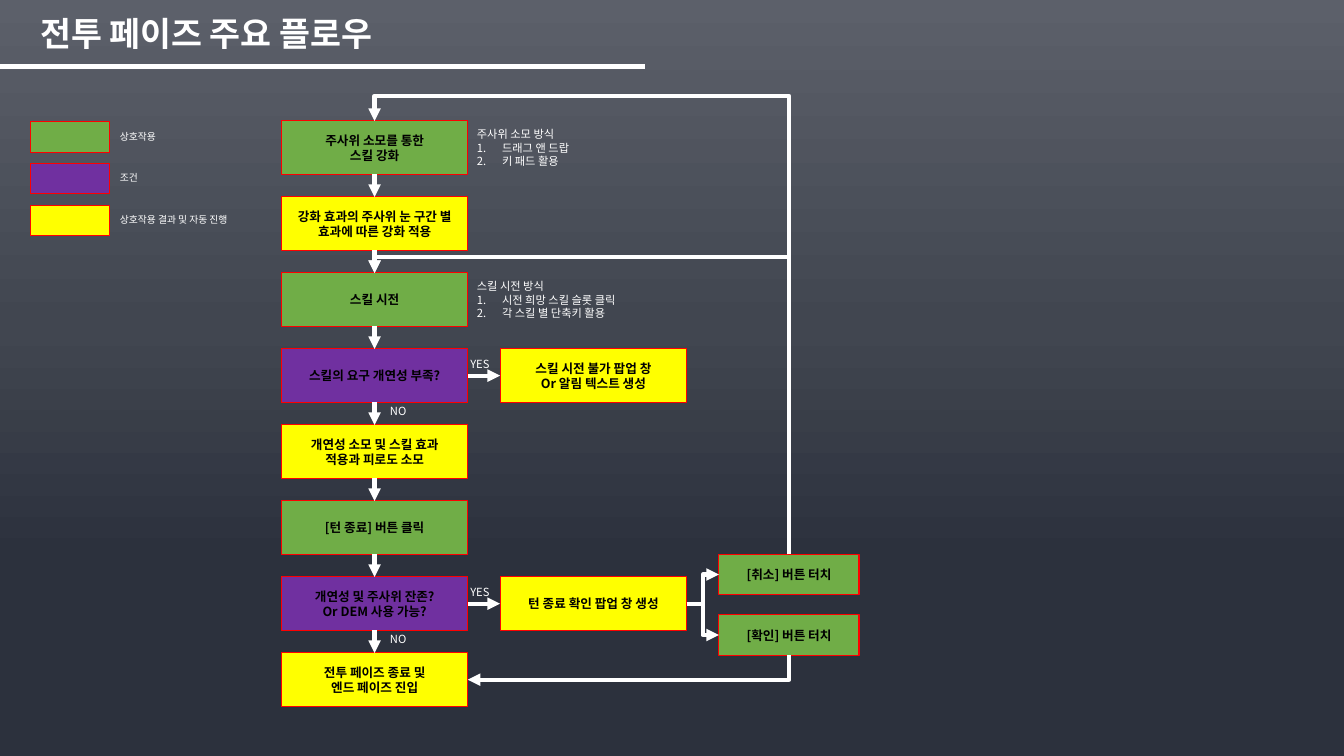
import copy

import pptx
import pptx.util
import pptx.dml.color
import pptx.enum.shapes
import pptx.enum.text
import pptx.oxml.ns
from lxml import etree

RGBColor = pptx.dml.color.RGBColor
Inches = pptx.util.Inches
Pt = pptx.util.Pt
qn = pptx.oxml.ns.qn
Align = pptx.enum.text.PP_ALIGN
Connector = pptx.enum.shapes.MSO_CONNECTOR

GREEN = RGBColor(0x70, 0xAD, 0x47)
PURPLE = RGBColor(0x70, 0x30, 0xA0)
YELLOW = RGBColor(0xFF, 0xFF, 0x00)
RED = RGBColor(0xFF, 0x00, 0x00)
WHITE = RGBColor(0xFF, 0xFF, 0xFF)
BLACK = RGBColor(0x00, 0x00, 0x00)
BACKDROP = [
    (0, RGBColor(0x5C, 0x60, 0x6A)),
    (0.43, RGBColor(0x41, 0x46, 0x50)),
    (0.74, RGBColor(0x2C, 0x31, 0x3D)),
    (1, RGBColor(0x2C, 0x31, 0x3D)),
]
FONT = "Noto Sans CJK KR"

TITLE = "전투 페이즈 주요 플로우"
LEGEND = [
    ("상호작용", GREEN),
    ("조건", PURPLE),
    ("상호작용 결과 및 자동 진행", YELLOW),
]
STEPS = [
    ("주사위 소모를 통한\n스킬 강화", GREEN),
    ("강화 효과의 주사위 눈 구간 별 효과에 따른 강화 적용", YELLOW),
    ("스킬 시전", GREEN),
    ("스킬의 요구 개연성 부족?", PURPLE),
    ("개연성 소모 및 스킬 효과\n적용과 피로도 소모", YELLOW),
    ("[턴 종료] 버튼 클릭", GREEN),
    ("개연성 및 주사위 잔존?\vOr DEM 사용 가능?", PURPLE),
    ("전투 페이즈 종료 및\n엔드 페이즈 진입", YELLOW),
]
POPUPS = {3: "스킬 시전 불가 팝업 창\nOr 알림 텍스트 생성", 6: "턴 종료 확인 팝업 창 생성"}
BUTTONS = ["[취소] 버튼 터치", "[확인] 버튼 터치"]
NOTES = {
    0: "주사위 소모 방식\n드래그 앤 드랍\n키 패드 활용",
    2: "스킬 시전 방식\n시전 희망 스킬 슬롯 클릭\n각 스킬 별 단축키 활용",
}

COLUMNS = [2.79, 4.96, 7.13]
ROW_TOP, ROW_PITCH = 1.2, 0.754
BOX_W, BOX_H = 1.85, 0.53
BUTTON_W, BUTTON_H, BUTTON_TOP, BUTTON_PITCH = 1.39, 0.4, 5.5, 0.6
LEGEND_LEFT, LEGEND_TOP, LEGEND_PITCH = 0.3, 1.21, 0.415

deck = pptx.Presentation()
deck.slide_width, deck.slide_height = Inches(13.33), Inches(7.5)
page = deck.slides.add_slide(deck.slide_layouts[6])


def row_top(row):
    return ROW_TOP + row * ROW_PITCH


def paint_backdrop():
    fill = page.background.fill
    fill.gradient()
    fill.gradient_angle = 270
    stops = next(page.element.iter(qn("a:gsLst")))
    for extra in range(len(BACKDROP) - len(stops)):
        stops.append(copy.deepcopy(stops[0]))
    for stop, (position, color) in zip(fill.gradient_stops, BACKDROP):
        stop.position = position
        stop.color.rgb = color


def write(shape, text, size, color, bold=False, align=Align.LEFT):
    frame = shape.text_frame
    frame.text = text
    frame.word_wrap = True
    frame.vertical_anchor = pptx.enum.text.MSO_ANCHOR.MIDDLE
    for para in frame.paragraphs:
        para.alignment = align
        for span in para.runs:
            span.font.size = Pt(size)
            span.font.bold = bold
            span.font.name = FONT
            span.font.color.rgb = color
    for props in shape.element.iter(qn("a:rPr")):
        etree.SubElement(props, qn("a:ea")).set("typeface", FONT)


def add_box(left, top, width, height, color, text=""):
    box = page.shapes.add_shape(
        pptx.enum.shapes.MSO_SHAPE.RECTANGLE,
        Inches(left), Inches(top), Inches(width), Inches(height))
    box.shadow.inherit = False
    box.fill.solid()
    box.fill.fore_color.rgb = color
    box.line.color.rgb = RED
    box.line.width = Pt(0.75)
    if text:
        write(box, text, 9, BLACK, True, Align.CENTER)
    return box


def add_label(left, top, width, height, text, size, align=Align.LEFT):
    label = page.shapes.add_textbox(Inches(left), Inches(top), Inches(width), Inches(height))
    frame = label.text_frame
    frame.margin_left = frame.margin_right = frame.margin_top = frame.margin_bottom = 0
    write(label, text, size, WHITE, align=align)
    return label


def add_line(begin, end, kind=Connector.STRAIGHT, arrow=True):
    line = page.shapes.add_connector(kind, *[Inches(value) for value in (*begin, *end)])
    line.line.color.rgb = WHITE
    line.line.width = Pt(3)
    etree.SubElement(line.element.spPr, qn("a:effectLst"))
    if arrow:
        etree.SubElement(line.line._get_or_add_ln(), qn("a:tailEnd")).set("type", "triangle")
    return line


def join(source, source_side, target, target_side):
    line = add_line((0, 0), (1, 1))
    line.begin_connect(source, source_side)
    line.end_connect(target, target_side)


def add_turned_elbow(begin, end, overshoot=None):
    upward = end[1] < begin[1]
    middle_x, middle_y = (begin[0] + end[0]) / 2, (begin[1] + end[1]) / 2
    half_w, half_h = abs(end[1] - begin[1]) / 2, abs(end[0] - begin[0]) / 2
    rise = half_h if upward else -half_h
    line = add_line((middle_x - half_w, middle_y + rise),
                    (middle_x + half_w, middle_y - rise), Connector.ELBOW)
    line.element.spPr.find(qn("a:xfrm")).set("rot", str((270 if upward else 90) * 60000))
    shape = line.element.spPr.find(qn("a:prstGeom"))
    if overshoot is None:
        shape.set("prst", "bentConnector2")
    else:
        ratio = 1 + overshoot / (2 * half_w)
        guides = shape.find(qn("a:avLst"))
        if guides is None:
            guides = etree.SubElement(shape, qn("a:avLst"))
        guide = etree.SubElement(guides, qn("a:gd"))
        guide.set("name", "adj1")
        guide.set("fmla", f"val {round(ratio * 100000)}")


paint_backdrop()
title = page.shapes.add_textbox(Inches(0.3), Inches(0.07), Inches(7.77), Inches(0.56))
write(title, TITLE, 24, WHITE, True)
title.text_frame.paragraphs[0].line_spacing = 0.9
add_line((0, 0.66), (6.4, 0.66), arrow=False)

for index, (text, color) in enumerate(LEGEND):
    top = LEGEND_TOP + index * LEGEND_PITCH
    add_box(LEGEND_LEFT, top, 0.79, 0.3, color)
    add_label(LEGEND_LEFT + 0.89, top, 1.25, 0.28, text, 7)

steps = [add_box(COLUMNS[0], row_top(row), BOX_W, BOX_H, color, text)
         for row, (text, color) in enumerate(STEPS)]
for upper, lower in zip(steps, steps[1:]):
    join(upper, 2, lower, 0)

for row, text in POPUPS.items():
    popup = add_box(COLUMNS[1], row_top(row), BOX_W, BOX_H, YELLOW, text)
    join(steps[row], 3, popup, 1)
    add_label(COLUMNS[0] + BOX_W, row_top(row) + 0.11, 0.24, 0.08, "YES", 8, Align.CENTER)
    add_label(3.83, row_top(row) + 0.58, 0.24, 0.08, "NO", 8, Align.CENTER)

for row, text in NOTES.items():
    note = add_label(4.73, row_top(row) + 0.11, 1.7, 0.31, text, 8)
    for para in note.text_frame.paragraphs[1:]:
        props = para._p.get_or_add_pPr()
        props.set("marL", str(Inches(0.25)))
        props.set("indent", str(Inches(-0.25)))
        etree.SubElement(props, qn("a:buAutoNum")).set("type", "arabicPeriod")

split = (COLUMNS[1] + BOX_W, row_top(6) + BOX_H / 2)
for index, text in enumerate(BUTTONS):
    top = BUTTON_TOP + index * BUTTON_PITCH
    add_box(COLUMNS[2], top, BUTTON_W, BUTTON_H, GREEN, text)
    add_line(split, (COLUMNS[2], top + BUTTON_H / 2), Connector.ELBOW)

step_x = COLUMNS[0] + BOX_W / 2
button_x = COLUMNS[2] + BUTTON_W / 2
for row, overshoot in [(2, 0.16), (0, 0.25)]:
    add_turned_elbow((button_x, BUTTON_TOP), (step_x, row_top(row)), overshoot)
add_turned_elbow((button_x, BUTTON_TOP + BUTTON_PITCH + BUTTON_H),
                 (COLUMNS[0] + BOX_W, row_top(7) + BOX_H / 2))

deck.save("out.pptx")
